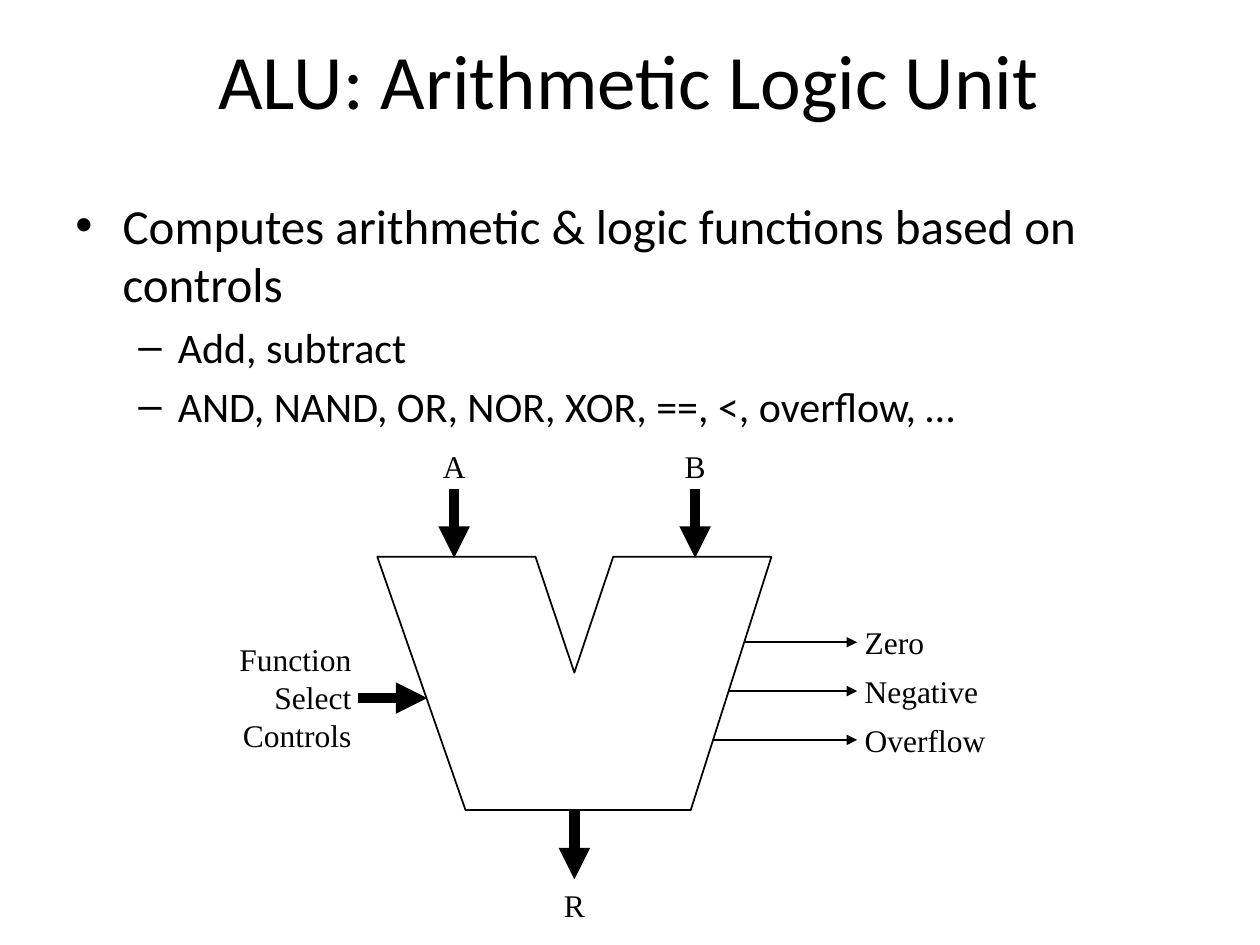
from dataclasses import dataclass

from lxml import etree
from pptx import Presentation
from pptx.dml.color import RGBColor
from pptx.enum.shapes import MSO_CONNECTOR
from pptx.enum.text import MSO_ANCHOR, MSO_AUTO_SIZE, PP_ALIGN
from pptx.oxml.ns import qn
from pptx.util import Pt

STRAIGHT = MSO_CONNECTOR.STRAIGHT
GROW = MSO_AUTO_SIZE.SHAPE_TO_FIT_TEXT
MIDDLE, TOP = MSO_ANCHOR.MIDDLE, MSO_ANCHOR.TOP
LEFT, CENTER, RIGHT = PP_ALIGN.LEFT, PP_ALIGN.CENTER, PP_ALIGN.RIGHT


@dataclass(frozen=True)
class Theme:
    """Colours, fonts, type sizes and line widths."""
    ink: RGBColor = RGBColor(0, 0, 0)
    font: str = "Calibri"
    label_font: str = "Times New Roman"
    title: int = 44
    body: tuple = (28, 24)
    label: int = 18
    thin: int = 1
    thick: int = 6


THEME = Theme()


def add_text(s, box, lines, font, size, align, anchor=TOP):
    """Add a text box with one paragraph per line and return its frame."""
    tf = s.shapes.add_textbox(*map(Pt, box)).text_frame
    tf.word_wrap = True
    tf.vertical_anchor = anchor
    tf.text = "\n".join(lines)
    for p in tf.paragraphs:
        p.alignment = align
        for r in p.runs:
            r.font.name = font
            r.font.size = Pt(size)
            r.font.color.rgb = THEME.ink
    return tf


def add_arrow(s, x1, y1, x2, y2, width):
    """Add a straight arrow pointing at its second end."""
    c = s.shapes.add_connector(STRAIGHT, *map(Pt, (x1, y1, x2, y2)))
    c.line.color.rgb = THEME.ink
    c.line.width = Pt(width)
    ln = c.line._get_or_add_ln()
    etree.SubElement(ln, qn("a:tailEnd"), type="triangle")
    etree.SubElement(c._element.spPr, qn("a:effectLst"))


def add_title(s, box, text):
    """Add the centred slide title."""
    add_text(s, box, [text], THEME.font, THEME.title, CENTER, MIDDLE)


def add_bullets(s, box, items):
    """Add a two-level bullet list from (level, text) pairs."""
    tf = add_text(s, box, [text for _, text in items],
                  THEME.font, THEME.body[0], LEFT)
    styles = (("\u2022", 27, 27), ("\u2013", 58.5, 22.5))
    for p, (level, _) in zip(tf.paragraphs, items):
        mark, margin, hang = styles[level]
        size = THEME.body[level]
        p.level = level
        p.space_before = Pt(size * 0.2)
        p.runs[0].font.size = Pt(size)
        pPr = p._p.get_or_add_pPr()
        pPr.set("marL", str(Pt(margin)))
        pPr.set("indent", str(-Pt(hang)))
        etree.SubElement(pPr, qn("a:buFont"), typeface="Arial")
        etree.SubElement(pPr, qn("a:buChar"), char=mark)


def add_alu(s, box):
    """Add the ALU outline with its inputs, controls, flags and result."""
    x, y, w, h = box
    mid, foot, notch = w / 2, 46.1, 22.2
    reach, label_h = 39.6, 28.8

    def label(lines, left, top, width, align=CENTER, height=label_h):
        tf = add_text(s, (x + left, y + top, width, height), lines,
                      THEME.label_font, THEME.label, align)
        tf.word_wrap = False
        tf.auto_size = GROW

    def arrow(x1, y1, x2, y2, width=THEME.thick):
        add_arrow(s, x + x1, y + y1, x + x2, y + y2, width)

    corners = [(mid - notch, 0), (mid, 66.2), (mid + notch, 0), (w, 0),
               (w - foot, h), (50.4, h)]
    builder = s.shapes.build_freeform(Pt(x), Pt(y))
    builder.add_line_segments([(Pt(x + cx), Pt(y + cy)) for cx, cy in corners])
    outline = builder.convert_to_shape()
    outline.shadow.inherit = False
    outline.fill.background()
    outline.line.color.rgb = THEME.ink
    outline.line.width = Pt(THEME.thin)

    for name, cx in (("A", 43.9), ("B", 181.6)):
        arrow(cx, 0.6 - reach, cx, 0.6)
        label([name], cx - 13.5, -66.2, 27)
    arrow(mid, h, mid, h + reach)
    label(["R"], mid - 13.5, h + 40, 27)

    arrow(28.6 - reach, 80.7, 28.6, 80.7)
    label(["Function", "Select", "Controls"], -86.2, 44, 78.5, RIGHT, 72)

    flags = (("Zero", 49), ("Negative", 80), ("Overflow", 84))
    for i, (name, width) in enumerate(flags):
        cy = 48.8 + 27.9 * i
        arrow(w - foot * cy / h, cy, 274.2, cy, THEME.thin)
        label([name], 271, cy - label_h / 2, width)


def main():
    """Build the slide and save it."""
    prs = Presentation()
    prs.slide_width, prs.slide_height = Pt(720), Pt(540)
    s = prs.slides.add_slide(prs.slide_layouts[6])
    add_title(s, (35.5, 0, 648, 90), "ALU: Arithmetic Logic Unit")
    add_bullets(s, (36, 108, 666, 149), [
        (0, "Computes arithmetic & logic functions based on controls"),
        (1, "Add, subtract"),
        (1, "AND, NAND, OR, NOR, XOR, ==, <, overflow, \u2026"),
    ])
    add_alu(s, (215.6, 318.2, 225.2, 144.7))
    prs.save("out.pptx")


main()
